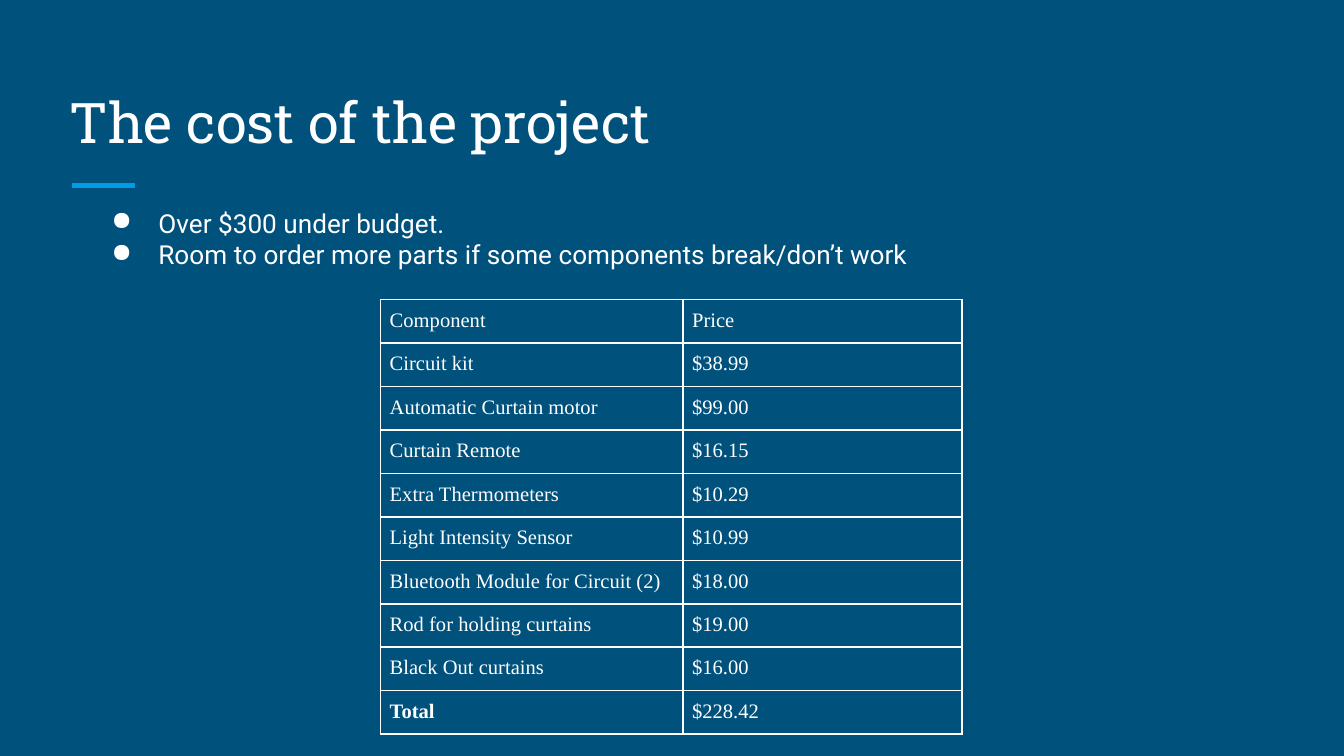
from lxml import etree
from pptx import Presentation
from pptx import util as u
from pptx.dml.color import RGBColor
from pptx.enum import shapes, text
from pptx.oxml import ns

NAVY = RGBColor(0x00, 0x51, 0x7C)
BLUE = RGBColor(0x03, 0x9B, 0xE5)
WHITE = RGBColor(0xFF, 0xFF, 0xFF)

WIDTH = u.Inches(10)
HEIGHT = WIDTH * 9 // 16
COLUMN = WIDTH / 100
ROW = HEIGHT / 50

BULLETS = [
    "Over $300 under budget.",
    "Room to order more parts if some components break/don’t work",
]
COSTS = [
    ("Component", "Price"),
    ("Circuit kit", "$38.99"),
    ("Automatic Curtain motor", "$99.00"),
    ("Curtain Remote", "$16.15"),
    ("Extra Thermometers", "$10.29"),
    ("Light Intensity Sensor", "$10.99"),
    ("Bluetooth Module for Circuit (2)", "$18.00"),
    ("Rod for holding curtains", "$19.00"),
    ("Black Out curtains", "$16.00"),
    ("Total", "$228.42"),
]


def grid(columns, rows):
    """Turn grid units into a horizontal and a vertical length."""
    return u.Emu(round(columns * COLUMN)), u.Emu(round(rows * ROW))


def add_element(parent, tag, **attributes):
    return etree.SubElement(parent, ns.qn(tag), attributes)


def add_run(paragraph, words, font, size, bold=False):
    run = paragraph.add_run()
    run.text = words
    run.font.name = font
    run.font.size = u.Pt(size)
    run.font.bold = bold
    run.font.color.rgb = WHITE


def add_text_box(slide, position, size, anchor):
    frame = slide.shapes.add_textbox(*grid(*position), *grid(*size)).text_frame
    frame.word_wrap = True
    frame.vertical_anchor = anchor
    frame.margin_left = frame.margin_right = u.Inches(0.1)
    frame.margin_top = frame.margin_bottom = u.Inches(0.1)
    return frame


def add_title(slide, words):
    frame = add_text_box(slide, (4.2, 4.44), (91.5, 6.67), text.MSO_ANCHOR.BOTTOM)
    add_run(frame.paragraphs[0], words, "Roboto Slab", 30)


def add_accent_line(slide):
    line = slide.shapes.add_connector(
        shapes.MSO_CONNECTOR.STRAIGHT, *grid(5.36, 12.27), *grid(10.04, 12.27))
    line.line.color.rgb = BLUE
    line.line.width = u.Pt(3)
    add_element(line._element.spPr, "a:effectLst")


def add_bullet(paragraph):
    properties = paragraph._p.get_or_add_pPr()
    properties.set("marL", str(u.Inches(0.5)))
    properties.set("indent", str(u.Inches(-0.35)))
    color = add_element(properties, "a:buClr")
    add_element(color, "a:srgbClr", val=str(WHITE))
    add_element(properties, "a:buChar", char="●")


def add_bullets(slide, items):
    frame = add_text_box(slide, (5.8, 12.8), (65.9, 8.09), text.MSO_ANCHOR.TOP)
    for index, item in enumerate(items):
        paragraph = frame.add_paragraph() if index else frame.paragraphs[0]
        add_bullet(paragraph)
        add_run(paragraph, item, "Roboto", 14)


def add_borders(cell):
    properties = cell._tc.get_or_add_tcPr()
    for side in ("L", "R", "T", "B"):
        border = add_element(properties, f"a:ln{side}", w=str(u.Pt(1)))
        fill = add_element(border, "a:solidFill")
        add_element(fill, "a:srgbClr", val=str(WHITE))


def fill_cell(cell, words, bold):
    cell.margin_left = cell.margin_right = u.Inches(0.07)
    cell.margin_top = cell.margin_bottom = u.Inches(0.07)
    add_borders(cell)
    cell.fill.background()
    add_run(cell.text_frame.paragraphs[0], words, "Times New Roman", 11, bold)


def add_cost_table(slide, costs):
    row_height = 2.75
    table = slide.shapes.add_table(
        len(costs), 2, *grid(28.3, 19.82), *grid(43.3, row_height * len(costs))).table
    table.first_row = table.horz_banding = False
    for column, width in zip(table.columns, (22.5, 20.8)):
        column.width = grid(width, 0)[0]
    for row, values in zip(table.rows, costs):
        row.height = grid(0, row_height)[1]
        for cell, value in zip(row.cells, values):
            fill_cell(cell, value, bold=value == "Total")


def main():
    presentation = Presentation()
    presentation.slide_width = WIDTH
    presentation.slide_height = HEIGHT
    slide = presentation.slides.add_slide(presentation.slide_layouts[6])
    slide.background.fill.solid()
    slide.background.fill.fore_color.rgb = NAVY
    add_accent_line(slide)
    add_title(slide, "The cost of the project")
    add_cost_table(slide, COSTS)
    add_bullets(slide, BULLETS)
    presentation.save("out.pptx")


if __name__ == "__main__":
    main()
